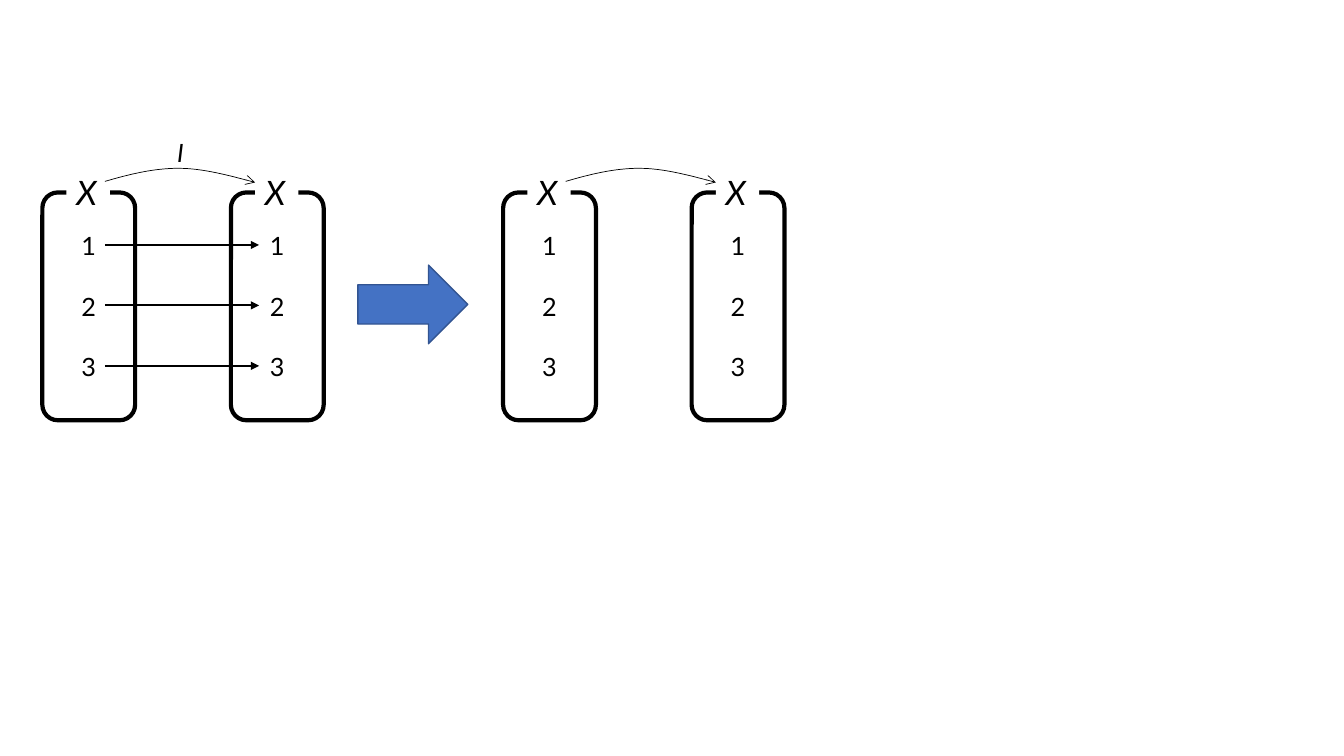
from dataclasses import dataclass

from lxml.etree import SubElement
from pptx import Presentation
from pptx.dml.color import RGBColor
from pptx.enum.shapes import MSO_CONNECTOR as Connector, MSO_SHAPE as Shape
from pptx.enum.text import MSO_ANCHOR as Anchor, PP_ALIGN as Align
from pptx.oxml.ns import qn
from pptx.util import Inches, Pt


@dataclass(frozen=True)
class Theme:
    font: str = "Lato"
    ink: RGBColor = RGBColor(0, 0, 0)
    paper: RGBColor = RGBColor(255, 255, 255)
    accent: RGBColor = RGBColor(0x44, 0x72, 0xC4)
    accent_edge: RGBColor = RGBColor(0x32, 0x54, 0x91)
    body_size: float = 18
    name_size: float = 24
    element_gap: float = 21.6


THEME = Theme()
ELEMENTS = ["1", "2", "3"]
SET_WIDTH, SET_HEIGHT = 0.92, 2.26
SET_PITCH = 1.87


def write_text(shape, lines, size=THEME.body_size, italic=False,
               align=Align.LEFT, anchor=Anchor.TOP, gap=0):
    frame = shape.text_frame
    frame.word_wrap = True
    frame.vertical_anchor = anchor
    for index, line in enumerate(lines):
        paragraph = frame.add_paragraph() if index else frame.paragraphs[0]
        paragraph.alignment = align
        if index and gap:
            paragraph.space_before = Pt(gap)
        run = paragraph.add_run()
        run.text = line
        run.font.name = THEME.font
        run.font.size = Pt(size)
        run.font.italic = italic
        run.font.color.rgb = THEME.ink


def set_line(shape, width, color=THEME.ink, head=None):
    shape.line.width = Pt(width)
    shape.line.color.rgb = color
    if head:
        SubElement(shape.line._get_or_add_ln(), qn("a:tailEnd"), type=head)


def add_box(slide, kind, left, top, width, height, fill=None):
    shape = slide.shapes.add_shape(
        kind, Inches(left), Inches(top), Inches(width), Inches(height))
    shape.shadow.inherit = False
    if fill is None:
        shape.fill.background()
    else:
        shape.fill.solid()
        shape.fill.fore_color.rgb = fill
    shape.line.fill.background()
    return shape


def add_set(slide, left, top):
    """Draw a rounded set with its elements and its name on the top edge."""
    outline = add_box(slide, Shape.ROUNDED_RECTANGLE,
                      left, top, SET_WIDTH, SET_HEIGHT)
    set_line(outline, 3)
    write_text(outline, ELEMENTS, align=Align.CENTER, anchor=Anchor.MIDDLE,
               gap=THEME.element_gap)
    name = add_box(slide, Shape.RECTANGLE, left + 0.24, top - 0.25,
                   0.43, 0.5, fill=THEME.paper)
    write_text(name, ["X"], size=THEME.name_size, italic=True)


def bezier_points(start, control_1, control_2, end, steps=16):
    for step in range(1, steps + 1):
        t = step / steps
        weights = ((1 - t) ** 3, 3 * t * (1 - t) ** 2, 3 * t * t * (1 - t), t ** 3)
        yield tuple(sum(w * value for w, value in zip(weights, values))
                    for values in zip(start, control_1, control_2, end))


def add_curved_arrow(slide, left, top):
    start, peak, end = (0.62, -0.11), (1.35, -0.24), (2.11, -0.1)
    points = [*bezier_points(start, (0.86, -0.18), (1.1, -0.24), peak),
              *bezier_points(peak, (1.59, -0.24), (1.85, -0.17), end)]
    builder = slide.shapes.build_freeform(
        Inches(left + start[0]), Inches(top + start[1]))
    builder.add_line_segments(
        [(Inches(left + x), Inches(top + y)) for x, y in points], close=False)
    curve = builder.convert_to_shape()
    curve.shadow.inherit = False
    curve.fill.background()
    set_line(curve, 0.5, head="arrow")


def add_element_arrows(slide, left, top):
    for index in range(len(ELEMENTS)):
        y = Inches(top + 0.52 + 0.6 * index)
        arrow = slide.shapes.add_connector(
            Connector.STRAIGHT, Inches(left + 0.62), y, Inches(left + 2.15), y)
        set_line(arrow, 1.5, head="triangle")
        SubElement(arrow._element.spPr, qn("a:effectLst"))


def add_mapping(slide, left, top, label=None, show_arrows=False):
    """Draw two sets joined by a curved arrow, with optional label and arrows."""
    for column in range(2):
        add_set(slide, left + column * SET_PITCH, top)
    add_curved_arrow(slide, left, top)
    if label:
        box = slide.shapes.add_textbox(
            Inches(left + 1.24), Inches(top - 0.6), Inches(0.37), Inches(0.4))
        write_text(box, [label], italic=True)
    if show_arrows:
        add_element_arrows(slide, left, top)


def add_step_arrow(slide, left, top, width, height):
    arrow = add_box(slide, Shape.RIGHT_ARROW, left, top, width, height,
                    fill=THEME.accent)
    set_line(arrow, 1, THEME.accent_edge)


def main():
    presentation = Presentation()
    presentation.slide_width = Inches(13.33)
    presentation.slide_height = Inches(7.5)
    slide = presentation.slides.add_slide(presentation.slide_layouts[6])
    add_mapping(slide, 0.42, 1.91, label="I", show_arrows=True)
    add_step_arrow(slide, 3.55, 2.63, 1.09, 0.78)
    add_mapping(slide, 4.99, 1.91)
    presentation.save("out.pptx")


if __name__ == "__main__":
    main()
